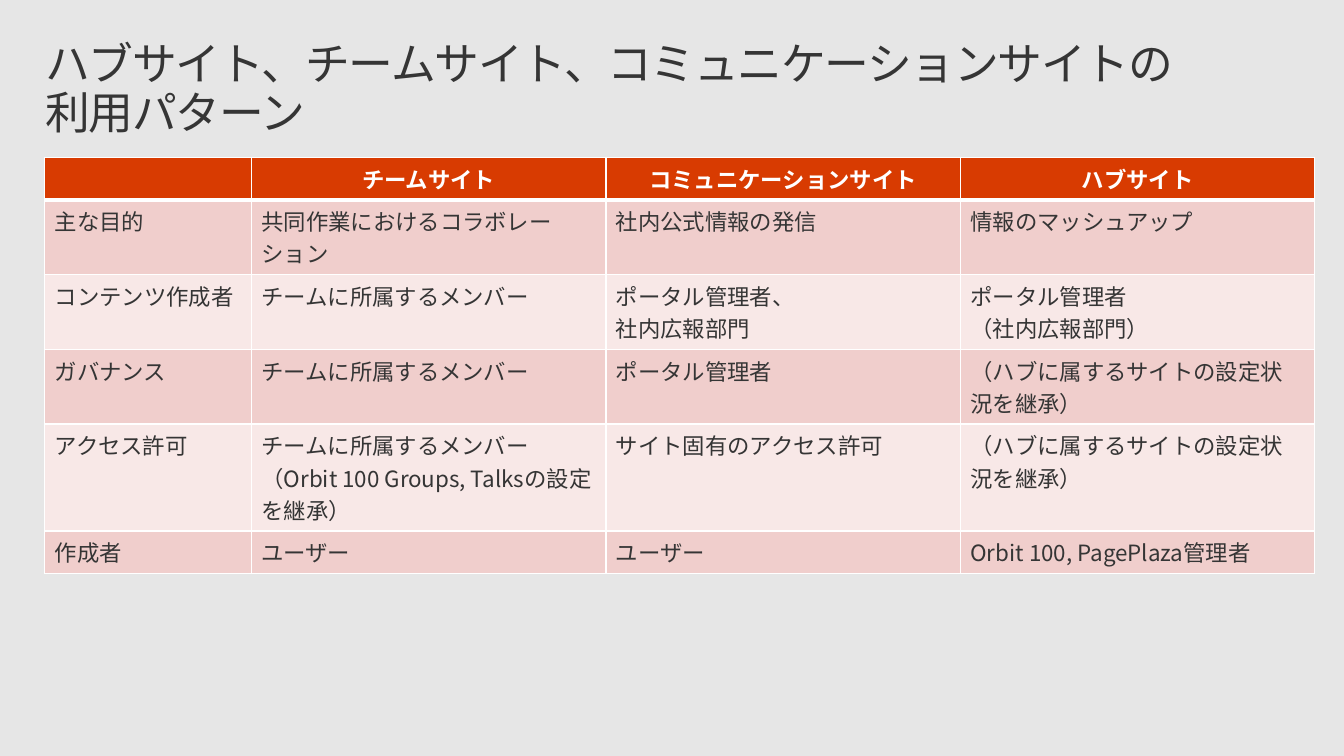
from dataclasses import dataclass

from lxml.etree import SubElement
from pptx import Presentation
from pptx.dml.color import RGBColor as RGB
from pptx.enum.text import MSO_ANCHOR as Anchor, PP_ALIGN as Align
from pptx.oxml import parse_xml
from pptx.oxml.ns import nsdecls, qn
from pptx.util import Pt

FONT = "Noto Sans CJK JP"
COLORS = {
    "background": "E6E6E6",
    "text": "353535",
    "white": "FFFFFF",
    "header": "D83B01",
    "odd": "F0CECC",
    "even": "F8E8E7",
}
TITLE = "ハブサイト、チームサイト、コミュニケーションサイトの\v利用パターン"
COLUMN_WIDTHS = [147.6, 253.2, 253.2, 253.2]
ROW_PADDING = 7.4
LINE_HEIGHT = 23


@dataclass
class TextStyle:
    size: float
    color: str
    bold: bool = False
    align: Align = Align.LEFT
    spacing: int = 0


@dataclass
class SiteRow:
    lines: int
    label: str
    team: str
    communication: str
    hub: str

    def texts(self) -> list[str]:
        return [self.label, self.team, self.communication, self.hub]

    def height(self) -> float:
        return ROW_PADDING + LINE_HEIGHT * self.lines


TITLE_STYLE = TextStyle(32, "text", spacing=-100)
HEADER_STYLE = TextStyle(16, "white", bold=True, align=Align.CENTER)
BODY_STYLE = TextStyle(16, "text")

ROWS = [
    SiteRow(1, "", "チームサイト", "コミュニケーションサイト", "ハブサイト"),
    SiteRow(2, "主な目的", "共同作業におけるコラボレーション", "社内公式情報の発信",
            "情報のマッシュアップ"),
    SiteRow(2, "コンテンツ作成者", "チームに所属するメンバー",
            "ポータル管理者、\v社内広報部門", "ポータル管理者\v（社内広報部門）"),
    SiteRow(2, "ガバナンス", "チームに所属するメンバー", "ポータル管理者",
            "（ハブに属するサイトの設定状況を継承）"),
    SiteRow(3, "アクセス許可",
            "チームに所属するメンバー\n（Orbit 100 Groups, Talksの設定を継承）",
            "サイト固有のアクセス許可", "（ハブに属するサイトの設定状況を継承）"),
    SiteRow(1, "作成者", "ユーザー", "ユーザー", "Orbit 100, PagePlaza管理者"),
]


def write_text(tf, text: str, style: TextStyle) -> None:
    tf.text = text
    for p in tf.paragraphs:
        p.alignment = style.align
        p.font.size = Pt(style.size)
        p.font.bold = style.bold
        p.font.name = FONT
        p.font.color.rgb = RGB.from_string(COLORS[style.color])
        props = p._p.pPr.find(qn("a:defRPr"))
        SubElement(props, qn("a:ea"), typeface=FONT)
        if style.spacing:
            props.set("spc", str(style.spacing))
        if not p.runs:
            SubElement(p._p, qn("a:endParaRPr"), sz=str(style.size * 100))


def set_borders(cell, widths: dict[str, float]) -> None:
    props = cell._tc.get_or_add_tcPr()
    for i, (side, width) in enumerate(widths.items()):
        props.insert(i, parse_xml(
            f'<a:ln{side} {nsdecls("a")} w="{Pt(width)}"><a:solidFill>'
            f'<a:srgbClr val="{COLORS["white"]}"/></a:solidFill></a:ln{side}>'))


def add_title(slide) -> None:
    tf = slide.shapes.add_textbox(Pt(21), Pt(23), Pt(918), Pt(70.6)).text_frame
    tf.word_wrap = True
    tf.vertical_anchor = Anchor.TOP
    tf.margin_left = tf.margin_right = Pt(11.5)
    tf.margin_top = tf.margin_bottom = Pt(7.2)
    write_text(tf, TITLE, TITLE_STYLE)
    tf.paragraphs[0].line_spacing = 0.9


def add_site_table(slide) -> None:
    table = slide.shapes.add_table(
        len(ROWS), len(COLUMN_WIDTHS), Pt(32), Pt(112.3),
        Pt(sum(COLUMN_WIDTHS)), Pt(sum(row.height() for row in ROWS))).table
    table.first_row = table.horz_banding = False
    for column, width in zip(table.columns, COLUMN_WIDTHS):
        column.width = Pt(width)
    for r, row in enumerate(ROWS):
        table.rows[r].height = Pt(row.height())
        fill = "header" if r == 0 else "odd" if r % 2 else "even"
        style = HEADER_STYLE if r == 0 else BODY_STYLE
        borders = {"L": 1, "R": 1, "T": 3 if r == 1 else 1, "B": 3 if r == 0 else 1}
        for c, text in enumerate(row.texts()):
            cell = table.cell(r, c)
            cell.fill.solid()
            cell.fill.fore_color.rgb = RGB.from_string(COLORS[fill])
            set_borders(cell, borders)
            write_text(cell.text_frame, text, style)


def main() -> None:
    prs = Presentation()
    prs.slide_width, prs.slide_height = Pt(960), Pt(540)
    s = prs.slides.add_slide(prs.slide_layouts[6])
    s.background.fill.solid()
    s.background.fill.fore_color.rgb = RGB.from_string(COLORS["background"])
    add_title(s)
    add_site_table(s)
    prs.save("out.pptx")


if __name__ == "__main__":
    main()
